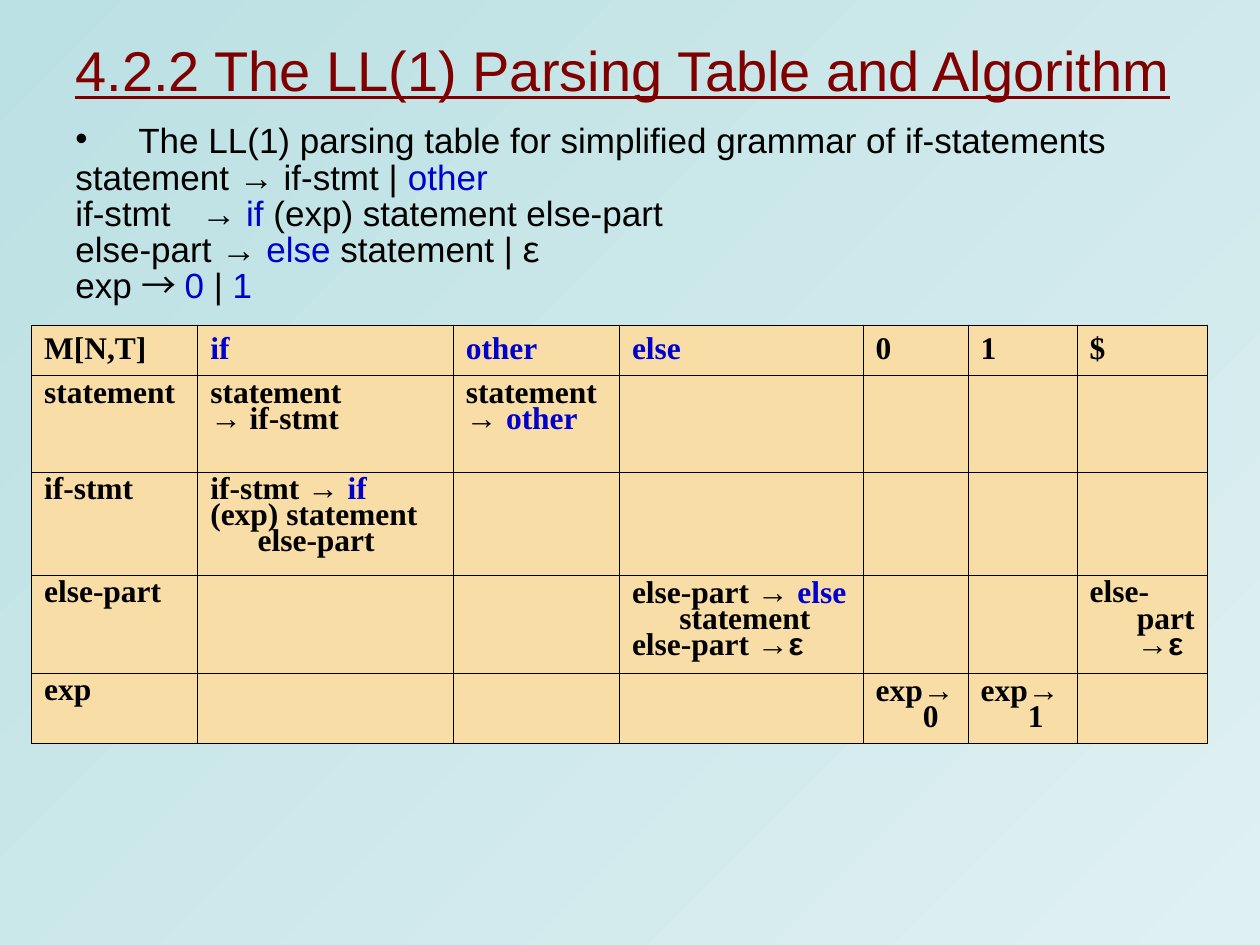
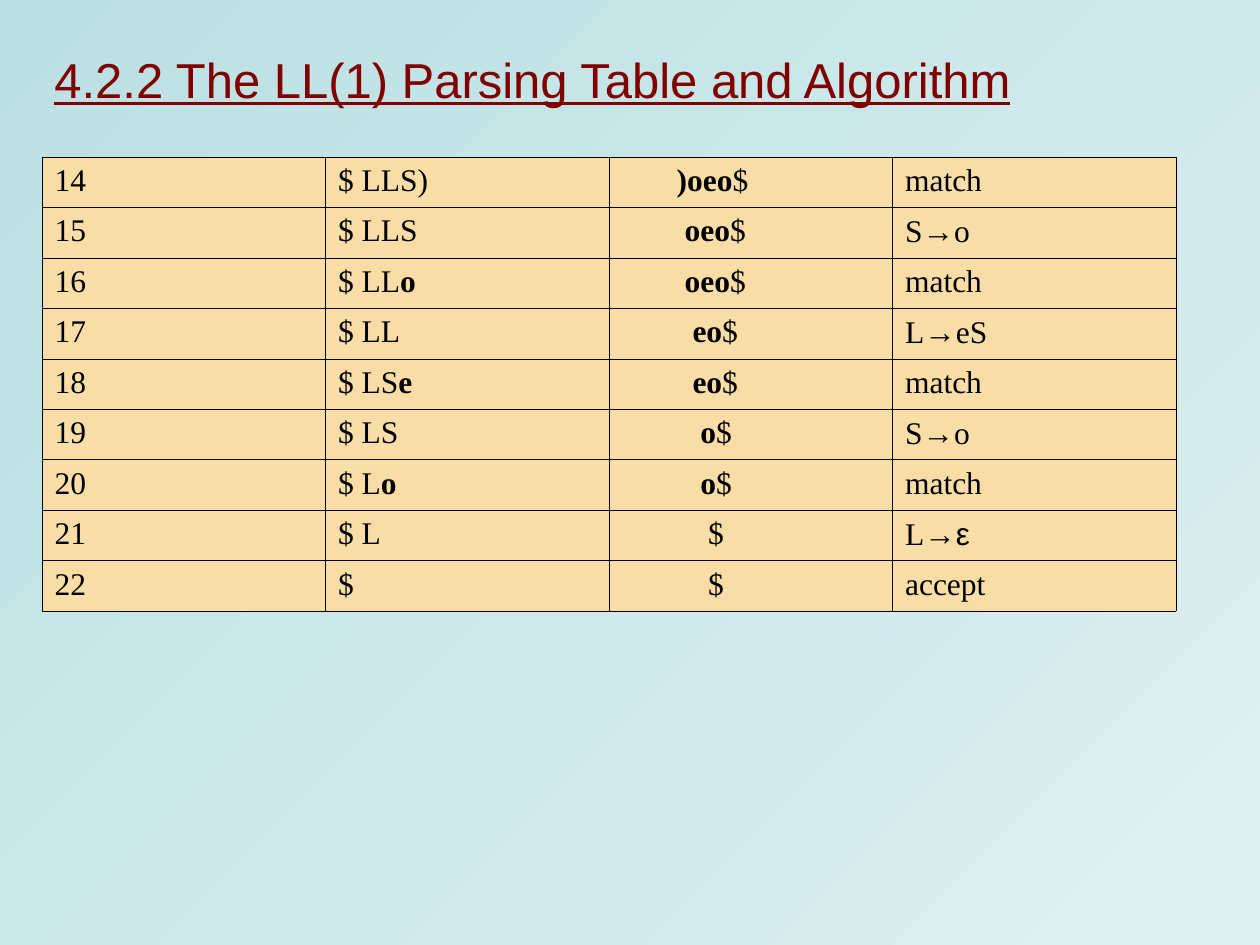
from dataclasses import dataclass
from typing import NamedTuple, Optional, Sequence

from lxml import etree
from pptx import Presentation
from pptx.dml.color import RGBColor
from pptx.enum import text as t
from pptx.oxml import ns
from pptx.util import Pt


@dataclass(frozen=True)
class Theme:
    sky: RGBColor = RGBColor.from_string("BBE0E3")
    mist: RGBColor = RGBColor.from_string("DFF0F2")
    maroon: RGBColor = RGBColor.from_string("800000")
    ink: RGBColor = RGBColor.from_string("000000")
    token: RGBColor = RGBColor.from_string("0000CC")
    sand: RGBColor = RGBColor.from_string("F8DDA6")
    sans: str = "Arial"
    serif: str = "Times New Roman"
    symbol: str = "Noto Sans CJK SC"
    wide_title: float = 32
    small_title: float = 28
    body_size: float = 20
    cell_size: float = 18
    border: float = 0.45


THEME = Theme()
TITLE = "4.2.2 The LL(1) Parsing Table and Algorithm"
HANG = 27


class Box(NamedTuple):
    left: float
    top: float
    width: float
    height: float


class Piece(NamedTuple):
    text: str
    color: RGBColor = THEME.ink
    font: Optional[str] = None
    bold: Optional[bool] = None


@dataclass(frozen=True)
class Style:
    font: str
    size: float
    bold: bool = False
    underline: bool = False
    spacing: Optional[float] = None
    before: float = 0
    align: Optional[t.PP_ALIGN] = None


@dataclass(frozen=True)
class Line:
    pieces: Sequence[Piece]
    margin: float = 0
    hang: float = 0
    bullet: str = ""
    tab: float = 0


class Cell(NamedTuple):
    lines: Sequence[Line] = ()


def token(text: str) -> Piece:
    return Piece(text, THEME.token)


def sans(text: str) -> Piece:
    return Piece(text, font=THEME.sans)


def symbol(text: str) -> Piece:
    return Piece(text, font=THEME.symbol)


def cell(*lines: Sequence[Piece]) -> Cell:
    return Cell([Line(pieces, HANG, HANG) for pieces in lines])


def plain(text: str) -> Cell:
    return cell([Piece(text)])


def add_xml(parent, tag: str, **attributes: str):
    return etree.SubElement(parent, ns.qn(tag), attributes)


def write(frame, lines: Sequence[Line], style: Style) -> None:
    for index, line in enumerate(lines):
        paragraph = frame.add_paragraph() if index else frame.paragraphs[0]
        paragraph.alignment = style.align
        paragraph.line_spacing = style.spacing
        if index:
            paragraph.space_before = Pt(style.before)
        props = paragraph._p.get_or_add_pPr()
        props.set("marL", str(Pt(line.margin)))
        props.set("indent", str(Pt(-line.hang)))
        if line.bullet:
            add_xml(props, "a:buFont", typeface=THEME.sans)
            add_xml(props, "a:buChar", char=line.bullet)
        if line.tab:
            stops = add_xml(props, "a:tabLst")
            add_xml(stops, "a:tab", pos=str(Pt(line.tab)), algn="l")
        for piece in line.pieces:
            run = paragraph.add_run()
            run.text = piece.text
            run.font.name = piece.font or style.font
            run.font.size = Pt(style.size)
            run.font.bold = style.bold if piece.bold is None else piece.bold
            run.font.underline = style.underline
            run.font.color.rgb = piece.color


def add_text(slide, box: Box, lines: Sequence[Line], style: Style,
             anchor: t.MSO_ANCHOR = t.MSO_ANCHOR.TOP) -> None:
    frame = slide.shapes.add_textbox(*map(Pt, box)).text_frame
    frame.word_wrap = True
    frame.vertical_anchor = anchor
    write(frame, lines, style)


def add_title(slide, box: Box, size: float) -> None:
    style = Style(THEME.sans, size, underline=True)
    add_text(slide, box, [Line([Piece(TITLE, THEME.maroon)])], style, t.MSO_ANCHOR.MIDDLE)


def add_borders(table_cell) -> None:
    props = table_cell._tc.get_or_add_tcPr()
    for side in "LRTB":
        edge = add_xml(props, f"a:ln{side}", w=str(Pt(THEME.border)))
        add_xml(add_xml(edge, "a:solidFill"), "a:srgbClr", val=str(THEME.ink))


def add_grid(slide, left: float, top: float, widths: Sequence[float],
             heights: Sequence[float], rows: Sequence[Sequence[Cell]],
             head: Style, body: Style) -> None:
    table = slide.shapes.add_table(len(heights), len(widths), Pt(left), Pt(top),
                                   Pt(sum(widths)), Pt(sum(heights))).table
    table.first_row = table.horz_banding = False
    for column, width in zip(table.columns, widths):
        column.width = Pt(width)
    for index, (row, height, contents) in enumerate(zip(table.rows, heights, rows)):
        row.height = Pt(height)
        for table_cell, content in zip(row.cells, contents):
            add_borders(table_cell)
            table_cell.fill.solid()
            table_cell.fill.fore_color.rgb = THEME.sand
            write(table_cell.text_frame, content.lines, body if index else head)


def paint_background(prs) -> None:
    fill = prs.slide_master.background.fill
    fill.gradient()
    fill.gradient_angle = 315
    for stop, color in zip(fill.gradient_stops, (THEME.sky, THEME.mist)):
        stop.color.rgb = color


def build_parsing_table(slide) -> None:
    add_title(slide, Box(36, 12.25, 672, 54), THEME.wide_title)
    grammar = [
        Line([Piece("The LL(1) parsing table for simplified grammar of if-statements")],
             36, 36, bullet="•"),
        Line([Piece("statement → if-stmt | "), token("other")]),
        Line([Piece("if-stmt\t→"), token(" if "), Piece("(exp) statement else-part")],
             tab=87.6),
        Line([Piece("else-part → "), token("else"), Piece(" statement | "), symbol("ε")]),
        Line([Piece("exp "), symbol("→ "), token("0 "), Piece("|"), token(" 1")]),
    ]
    add_text(slide, Box(36, 72, 606, 114), grammar,
             Style(THEME.sans, THEME.body_size, spacing=0.65, before=5,
                   align=t.PP_ALIGN.JUSTIFY))

    empty = Cell()
    arrow = sans("→ ")
    terminals = [cell([token(name)]) for name in ("if", "other", "else")]
    rows = [
        [plain("M[N,T]"), *terminals, plain("0"), plain("1"), plain("$")],
        [plain("statement"),
         cell([Piece("statement")], [sans("→"), Piece(" if-stmt")]),
         cell([Piece("statement")], [arrow, token("other")]),
         empty, empty, empty, empty],
        [plain("if-stmt"),
         cell([Piece("if-stmt "), arrow, token("if")], [Piece("(exp) statement else-part")]),
         empty, empty, empty, empty, empty],
        [plain("else-part"), empty, empty,
         cell([Piece("else-part "), arrow, token("else"), Piece(" statement")],
              [Piece("else-part "), sans("→ε")]),
         empty, empty, cell([Piece("else-part "), sans("→ε")])],
        [plain("exp"), empty, empty, empty,
         *(cell([Piece("exp"), sans("→"), Piece(digit)]) for digit in "01"), empty],
    ]
    add_grid(slide, 18, 185.75, [95, 146, 95, 139.25, 60, 62.25, 74.5],
             [29, 55, 59.25, 56, 39.5], rows,
             Style(THEME.serif, THEME.cell_size, bold=True),
             Style(THEME.serif, THEME.cell_size, bold=True, spacing=0.75))


class Step(NamedTuple):
    stack: str
    matched: str
    remaining: str
    action: str


STEPS = [
    Step("$ LLS)", "", ")oeo", "match"),
    Step("$ LLS", "", "oeo", "S→o"),
    Step("$ LL", "o", "oeo", "match"),
    Step("$ LL", "", "eo", "L→eS"),
    Step("$ LS", "e", "eo", "match"),
    Step("$ LS", "", "o", "S→o"),
    Step("$ L", "o", "o", "match"),
    Step("$ L", "", "", "L→ε"),
    Step("$", "", "", "accept"),
]


def step_row(number: int, step: Step) -> list[Cell]:
    stack = [Piece(step.stack)]
    if step.matched:
        stack.append(Piece(step.matched, bold=True))
    pending = [Piece(step.remaining, bold=True)] if step.remaining else []
    indent = 4.5 * (11 - len(step.remaining))
    left, arrow, right = step.action.partition("→")
    action = [Piece(left)]
    if arrow:
        action += [sans(arrow), sans(right) if right == "ε" else Piece(right)]
    return [plain(str(number)), cell(stack),
            Cell([Line([*pending, Piece("$")], indent)]), cell(action)]


def build_parsing_steps(slide) -> None:
    add_title(slide, Box(24, 24, 672, 42), THEME.small_title)
    rows = [step_row(number, step) for number, step in enumerate(STEPS, 14)]
    style = Style(THEME.serif, THEME.cell_size)
    add_grid(slide, 24, 89.75, [162] * 4, [28.85] * len(rows), rows, style, style)


def main() -> None:
    prs = Presentation()
    prs.slide_width, prs.slide_height = Pt(720), Pt(540)
    paint_background(prs)
    for build in (build_parsing_table, build_parsing_steps):
        build(prs.slides.add_slide(prs.slide_layouts[6]))
    prs.save("out.pptx")


if __name__ == "__main__":
    main()
